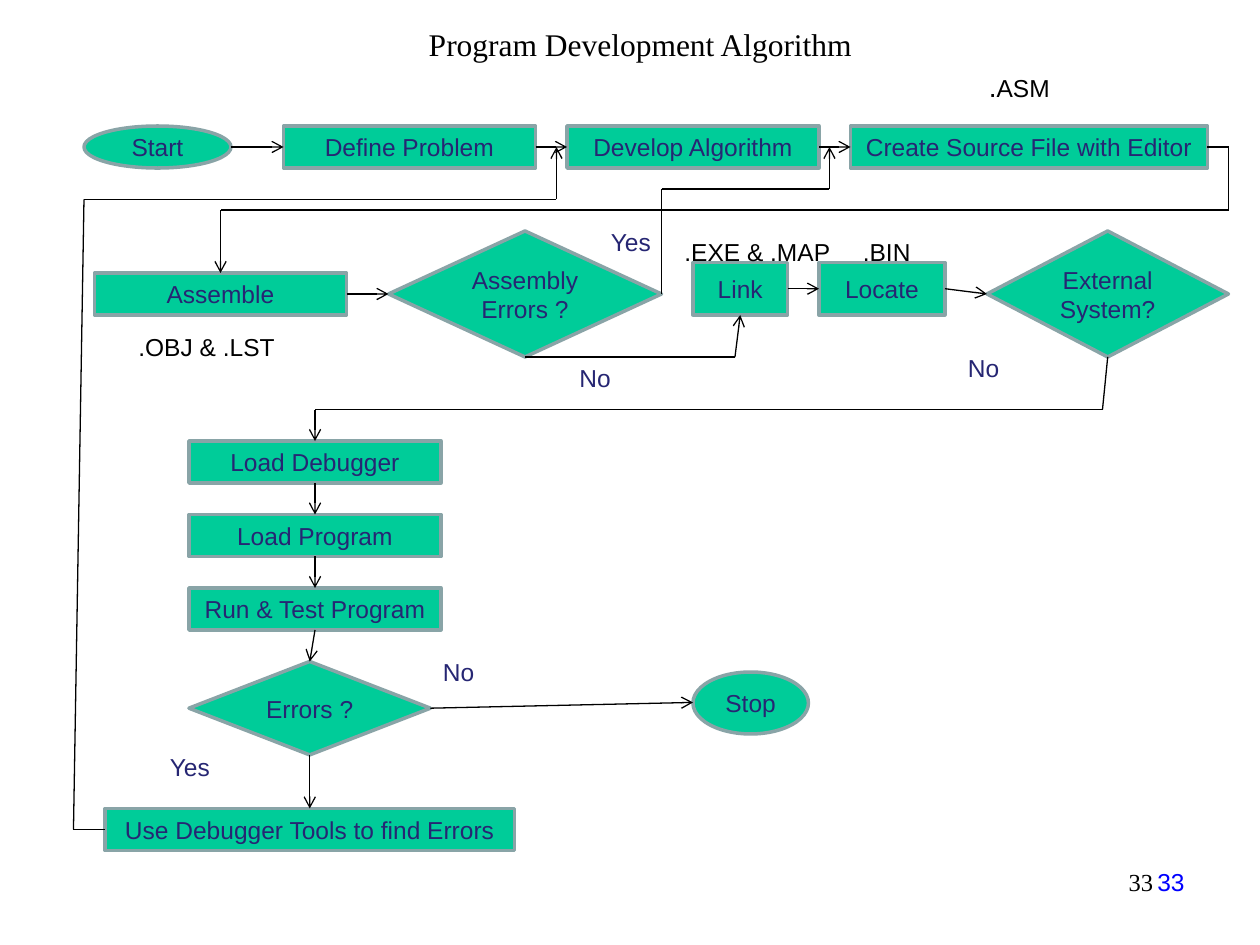
from enum import IntEnum
from itertools import pairwise
from typing import NamedTuple

from lxml.etree import SubElement
from pptx import Presentation
from pptx.dml.color import RGBColor
from pptx.enum.shapes import MSO_CONNECTOR, MSO_SHAPE as Geometry
from pptx.enum.text import MSO_ANCHOR as Anchor, PP_ALIGN as Align
from pptx.oxml.ns import qn
from pptx.util import Emu, Pt

EMU_PER_PX = 7620  # 120 px to the inch
BLACK, NAVY, BLUE = "000000", "262673", "0000FF"
GREEN, GRAY = "00CC99", "89A4A7"
SANS, SERIF = "Arial", "Times New Roman"
BOX, OVAL, DECISION = Geometry.RECTANGLE, Geometry.OVAL, Geometry.DIAMOND


class Side(IntEnum):
    TOP = 0
    LEFT = 1
    BOTTOM = 2
    RIGHT = 3


class Run(NamedTuple):
    text: str
    size: int = 14
    color: str = BLACK
    font: str = SANS


class Step(NamedTuple):
    text: str
    left: int
    top: int
    width: int = 240
    height: int = 40
    geometry: Geometry = BOX

    def side_point(self, side: Side) -> tuple[int, int]:
        middle_x = self.left + self.width // 2
        middle_y = self.top + self.height // 2
        return {
            Side.TOP: (middle_x, self.top),
            Side.LEFT: (self.left, middle_y),
            Side.BOTTOM: (middle_x, self.top + self.height),
            Side.RIGHT: (self.left + self.width, middle_y),
        }[side]


class Label(NamedTuple):
    runs: list[Run]
    left: int
    top: int
    width: int = 100
    height: int = 41
    align: Align = Align.LEFT
    anchor: Anchor = Anchor.TOP


class Route(NamedTuple):
    """A line from one step to another step, or to a bare point on another line."""
    source: Step
    exit_side: Side
    target: Step | None
    entry_side: Side = Side.LEFT
    bends: tuple[tuple[int, int], ...] = ()


START = Step("Start", 80, 120, 140, geometry=OVAL)
DEFINE = Step("Define Problem", 270, 120)
DEVELOP = Step("Develop Algorithm", 540, 120)
CREATE = Step("Create Source File with Editor", 810, 120, 340)
ASSEMBLE = Step("Assemble", 90, 260)
ASSEMBLY_ERRORS = Step("Assembly Errors ?", 370, 220, 260, 120, DECISION)
LINK = Step("Link", 660, 250, 90, 50)
LOCATE = Step("Locate", 780, 250, 120, 50)
EXTERNAL = Step("External System?", 940, 220, 230, 120, DECISION)
LOAD_DEBUGGER, LOAD_PROGRAM, RUN_TEST = (
    Step(text, 180, 420 + 70 * row)
    for row, text in enumerate(["Load Debugger", "Load Program", "Run & Test Program"])
)
ERRORS = Step("Errors ?", 180, 630, 230, 89, DECISION)
STOP = Step("Stop", 660, 640, 110, 59, OVAL)
FIND_ERRORS = Step("Use Debugger Tools to find Errors", 100, 770, 390)

STEPS = [START, DEFINE, DEVELOP, CREATE, ASSEMBLE, ASSEMBLY_ERRORS, LINK, LOCATE,
         EXTERNAL, LOAD_DEBUGGER, LOAD_PROGRAM, RUN_TEST, ERRORS, STOP, FIND_ERRORS]

ROUTES = [
    *(Route(source, Side.RIGHT, target) for source, target in [
        (START, DEFINE), (DEFINE, DEVELOP), (DEVELOP, CREATE),
        (ASSEMBLE, ASSEMBLY_ERRORS), (LINK, LOCATE), (LOCATE, EXTERNAL), (ERRORS, STOP),
    ]),
    *(Route(source, Side.BOTTOM, target, Side.TOP) for source, target in pairwise(
        [LOAD_DEBUGGER, LOAD_PROGRAM, RUN_TEST, ERRORS, FIND_ERRORS])),
    Route(CREATE, Side.RIGHT, ASSEMBLE, Side.TOP, ((1170, 140), (1170, 200), (210, 200))),
    Route(ASSEMBLY_ERRORS, Side.BOTTOM, LINK, Side.BOTTOM, ((700, 340),)),
    Route(ASSEMBLY_ERRORS, Side.RIGHT, None, bends=((630, 180), (790, 180), (790, 140))),
    Route(EXTERNAL, Side.BOTTOM, LOAD_DEBUGGER, Side.TOP, ((1050, 390), (300, 390))),
    Route(FIND_ERRORS, Side.LEFT, None,
          bends=((70, 790), (80, 190), (530, 190), (530, 140))),
]

YES, NO = Run("Yes", color=NAVY), Run("No", color=NAVY)
LABELS = [
    Label([Run("Program Development Algorithm", 18, font=SERIF)], 70, 0, 1080, 84,
          Align.CENTER, Anchor.MIDDLE),
    Label([Run(".", 16), Run("ASM")], 930, 60, 140, 44),
    Label([Run(".OBJ & .LST")], 120, 310, 190),
    Label([Run(".EXE & .MAP")], 640, 220, 190),
    Label([Run(".BIN")], 810, 220, 190),
    Label([YES], 570, 210),
    Label([NO], 540, 340),
    Label([NO], 910, 330),
    Label([NO], 410, 620),
    Label([YES], 150, 710),
    Label([Run("33", color=BLUE)], 860, 820, 280, 62, Align.RIGHT),
    Label([Run("33", font=SERIF)], 860, 820, 250, 60, Align.RIGHT),
]


def px(length: int) -> Emu:
    return Emu(length * EMU_PER_PX)


def rgb(color: str) -> RGBColor:
    return RGBColor.from_string(color)


def write(frame, runs: list[Run], align: Align, anchor: Anchor) -> None:
    frame.word_wrap = True
    frame.vertical_anchor = anchor
    paragraph = frame.paragraphs[0]
    paragraph.alignment = align
    for part in runs:
        run = paragraph.add_run()
        run.text = part.text
        run.font.size = Pt(part.size)
        run.font.name = part.font
        run.font.color.rgb = rgb(part.color)


def draw_step(shapes, step: Step):
    shape = shapes.add_shape(step.geometry, px(step.left), px(step.top),
                             px(step.width), px(step.height))
    shape.shadow.inherit = False
    shape.fill.solid()
    shape.fill.fore_color.rgb = rgb(GREEN)
    shape.line.color.rgb = rgb(GRAY)
    shape.line.width = Pt(2)
    write(shape.text_frame, [Run(step.text, color=NAVY)], Align.CENTER, Anchor.MIDDLE)
    return shape


def draw_label(shapes, label: Label) -> None:
    box = shapes.add_textbox(px(label.left), px(label.top), px(label.width), px(label.height))
    write(box.text_frame, label.runs, label.align, label.anchor)


def draw_route(shapes, route: Route, drawn: dict) -> None:
    """Draw each leg, join the ends to their steps and put the arrow on the last leg."""
    points = [route.source.side_point(route.exit_side), *route.bends]
    if route.target:
        points.append(route.target.side_point(route.entry_side))
    legs = []
    for (x1, y1), (x2, y2) in pairwise(points):
        leg = shapes.add_connector(MSO_CONNECTOR.STRAIGHT, px(x1), px(y1), px(x2), px(y2))
        leg.line.color.rgb = rgb(BLACK)
        leg.line.width = Pt(0.75)
        SubElement(leg.element.spPr, qn("a:effectLst"))
        legs.append(leg)
    # An oval numbers its connection sites differently, so its ends stay free.
    if route.source.geometry != OVAL:
        legs[0].begin_connect(drawn[route.source], route.exit_side.value)
    if route.target and route.target.geometry != OVAL:
        legs[-1].end_connect(drawn[route.target], route.entry_side.value)
    SubElement(legs[-1].line._get_or_add_ln(), qn("a:tailEnd"), type="arrow")


def main() -> None:
    deck = Presentation()
    deck.slide_width, deck.slide_height = px(1200), px(900)
    shapes = deck.slides.add_slide(deck.slide_layouts[6]).shapes
    drawn = {step: draw_step(shapes, step) for step in STEPS}
    for route in ROUTES:
        draw_route(shapes, route, drawn)
    for label in LABELS:
        draw_label(shapes, label)
    deck.save("out.pptx")


if __name__ == "__main__":
    main()
